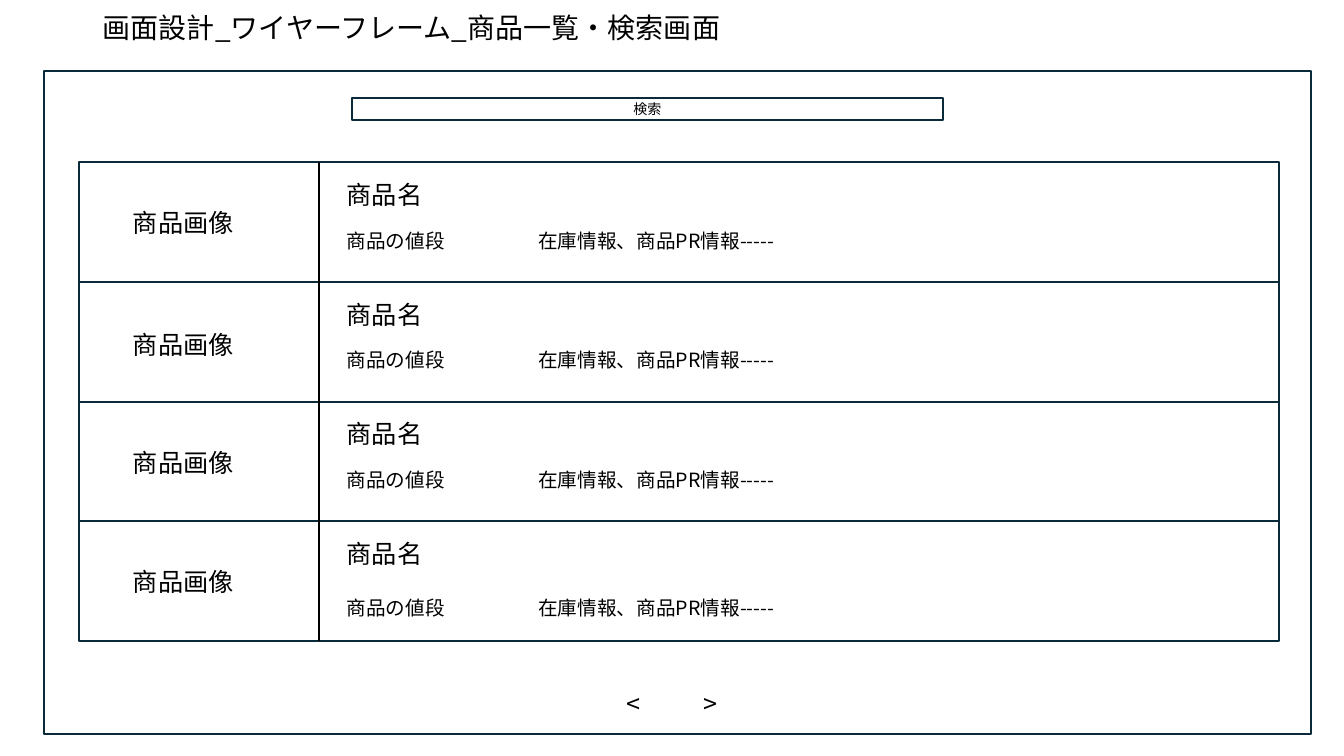
import pptx
import pptx.util
import pptx.dml.color
import pptx.enum.shapes
import pptx.enum.text
import pptx.oxml
import pptx.oxml.ns
import lxml.etree
from dataclasses import dataclass

Inches = pptx.util.Inches
PP_ALIGN = pptx.enum.text.PP_ALIGN
ANCHOR = pptx.enum.text.MSO_ANCHOR
AUTO_SIZE = pptx.enum.text.MSO_AUTO_SIZE


@dataclass(frozen=True)
class Theme:
    font: str = "Noto Sans CJK JP"
    ink: pptx.dml.color.RGBColor = pptx.dml.color.RGBColor(0, 0, 0)
    border: pptx.dml.color.RGBColor = pptx.dml.color.RGBColor(0x09, 0x2A, 0x39)
    stroke: float = 1.5
    title: int = 20
    heading: int = 18
    body: int = 14
    small: int = 10


theme = Theme()


def write(sp, text, size, align=PP_ALIGN.LEFT, anchor=ANCHOR.TOP):
    tf = sp.text_frame
    tf.text = text
    tf.word_wrap = True
    tf.vertical_anchor = anchor
    p = tf.paragraphs[0]
    p.alignment = align
    for r in p.runs:
        r.font.name = theme.font
        r.font.size = pptx.util.Pt(size)
        r.font.color.rgb = theme.ink
        ea = lxml.etree.SubElement(r.font._element, pptx.oxml.ns.qn("a:ea"))
        ea.set("typeface", theme.font)
    return p


def add_frame(s, left, top, width, height):
    sp = s.shapes.add_shape(
        pptx.enum.shapes.MSO_SHAPE.RECTANGLE,
        Inches(left), Inches(top), Inches(width), Inches(height))
    sp.shadow.inherit = False
    sp.fill.background()
    sp.line.color.rgb = theme.border
    sp.line.width = pptx.util.Pt(theme.stroke)
    return sp


prs = pptx.Presentation()
prs.slide_width, prs.slide_height = Inches(13.33), Inches(7.5)
s = prs.slides.add_slide(prs.slide_layouts[5])

title = s.shapes.title
title.left, title.top = Inches(0.92), Inches(0.23)
title.width, title.height = Inches(6.82), Inches(0.13)
p = write(title, "画面設計_ワイヤーフレーム_商品一覧・検索画面", theme.title, anchor=ANCHOR.MIDDLE)
p.line_spacing = 0.9
title.text_frame.auto_size = AUTO_SIZE.NONE

add_frame(s, 0.44, 0.7, 12.56, 6.58)
search = add_frame(s, 3.49, 0.97, 5.86, 0.22)
write(search, "検索", theme.small, PP_ALIGN.CENTER, ANCHOR.MIDDLE)

pager = s.shapes.add_textbox(Inches(6.12), Inches(6.78), Inches(1.09), Inches(0.4))
p = write(pager, "<\t>", theme.heading)
pager.text_frame.margin_right = 0
pager.text_frame.auto_size = AUTO_SIZE.SHAPE_TO_FIT_TEXT
tabs = lxml.etree.SubElement(p._p.get_or_add_pPr(), pptx.oxml.ns.qn("a:tabLst"))
tab = lxml.etree.SubElement(tabs, pptx.oxml.ns.qn("a:tab"))
tab.set("pos", str(Inches(0.76)))
tab.set("algn", "l")

list_left, list_top, list_width, list_height = 0.78, 1.61, 11.91, 4.75
image_offsets = [0.4, 0.42, 0.4, 0.4]
detail_offsets = [0.61, 0.61, 0.61, 0.69]
row_height = list_height / len(image_offsets)

for row, (image_dy, detail_dy) in enumerate(zip(image_offsets, detail_offsets)):
    top = list_top + row * row_height
    add_frame(s, list_left, top, list_width, row_height)
    for text, left, dy, width, height, size in [
        ("商品画像", 1.22, image_dy, 1.29, 0.4, theme.heading),
        ("商品名", 3.34, 0.12, 1.29, 0.4, theme.heading),
        ("商品の値段", 3.34, detail_dy, 1.46, 0.34, theme.body),
        ("在庫情報、商品PR情報-----", 5.24, detail_dy, 7.27, 0.34, theme.body),
    ]:
        sp = s.shapes.add_textbox(Inches(left), Inches(top + dy), Inches(width), Inches(height))
        write(sp, text, size)
        sp.text_frame.auto_size = AUTO_SIZE.SHAPE_TO_FIT_TEXT

divider = s.shapes.add_connector(
    pptx.enum.shapes.MSO_CONNECTOR.STRAIGHT,
    Inches(3.16), Inches(list_top), Inches(3.16), Inches(list_top + list_height))
divider.line.color.rgb = theme.ink
divider.line.width = pptx.util.Pt(theme.stroke)
lxml.etree.SubElement(divider._element.spPr, pptx.oxml.ns.qn("a:effectLst"))

prs.save("out.pptx")
